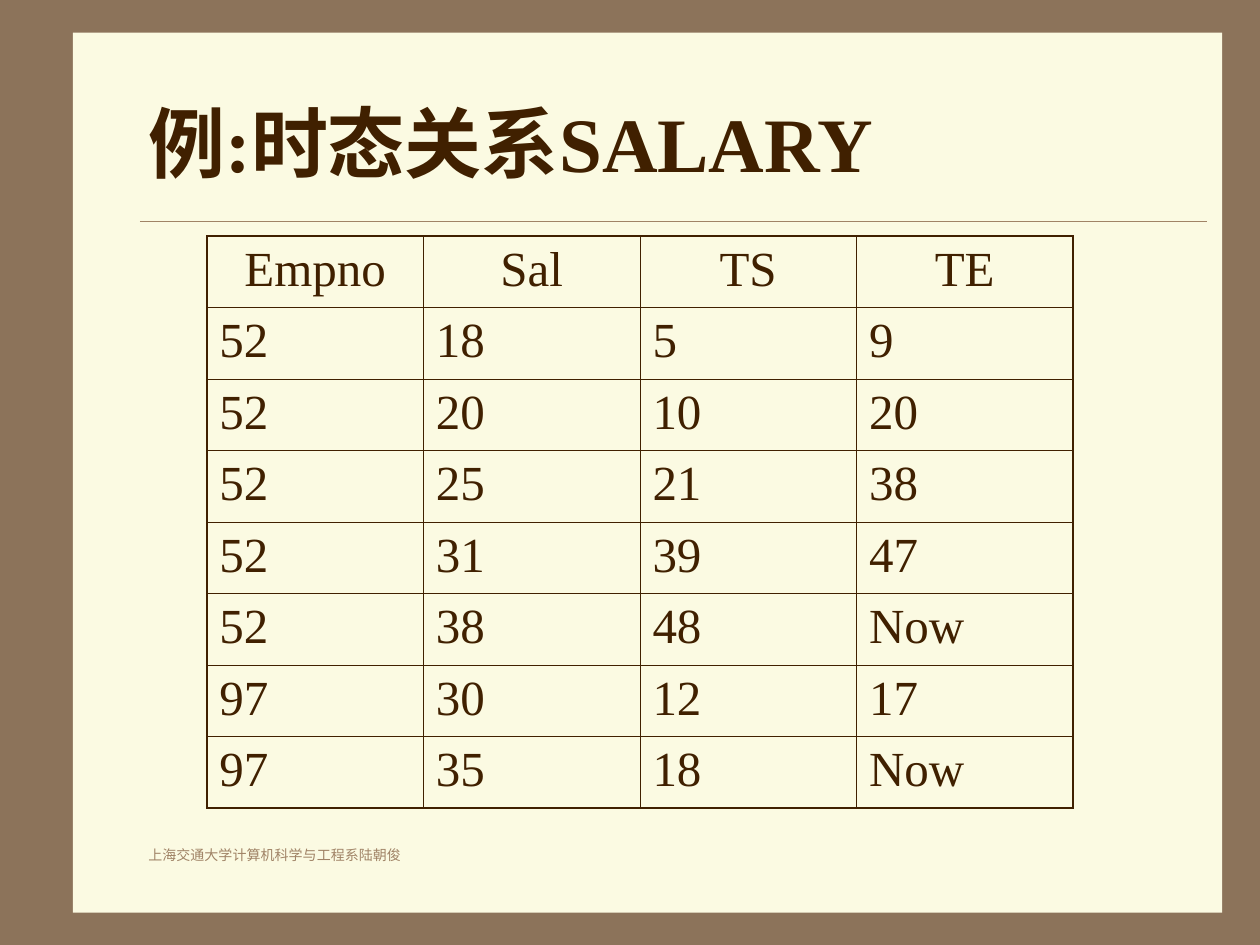
import pptx
import pptx.util
import pptx.dml.color
import pptx.enum.shapes
import pptx.enum.text
import pptx.oxml
import pptx.oxml.ns
import lxml.etree

Cm, Pt = pptx.util.Cm, pptx.util.Pt
DARK, TAN, CREAM, BROWN = "402000", "A08366", "FBFAE2", "8C735A"
LATIN, HAN = "Times New Roman", "Noto Sans CJK SC"
THIN, THICK = 0.45, 1.08
ROWS = [
    ("Empno", "Sal", "TS", "TE"),
    ("52", "18", "5", "9"),
    ("52", "20", "10", "20"),
    ("52", "25", "21", "38"),
    ("52", "31", "39", "47"),
    ("52", "38", "48", "Now"),
    ("97", "30", "12", "17"),
    ("97", "35", "18", "Now"),
]


def tint(code):
    return pptx.dml.color.RGBColor.from_string(code)


def put(obj, form):
    for key, val in form.items():
        setattr(obj, key, val)


def write(frame, text, size, code, bold=False, para=None):
    """Fill a text frame with one styled paragraph."""
    line = frame.paragraphs[0]
    put(line, para or {})
    run = line.add_run()
    run.text = text
    put(run.font, {"name": LATIN, "size": Pt(size), "bold": bold})
    run.font.color.rgb = tint(code)
    props = run.font._element
    east = lxml.etree.SubElement(props, pptx.oxml.ns.qn("a:ea"))
    east.set("typeface", HAN)


def edge(cell, side, width):
    """Draw one border of a cell; sides go in the order L, R, T, B."""
    props = cell._tc.get_or_add_tcPr()
    props.append(pptx.oxml.parse_xml(
        f'<a:ln{side} {pptx.oxml.ns.nsdecls("a")} w="{Pt(width)}">'
        f'<a:solidFill><a:srgbClr val="{DARK}"/></a:solidFill></a:ln{side}>'))


def label(slide, box, text, size, code, anchor, bold=False, para=None):
    frame = slide.shapes.add_textbox(*map(Cm, box)).text_frame
    put(frame, {"word_wrap": True, "vertical_anchor": anchor})
    write(frame, text, size, code, bold, para)


def panel(slide, box):
    # Cream page on the brown ground
    page = slide.shapes.add_shape(
        pptx.enum.shapes.MSO_SHAPE.RECTANGLE, *map(Cm, box))
    page.shadow.inherit = False
    page.fill.solid()
    page.fill.fore_color.rgb = tint(CREAM)
    page.line.fill.background()

    # Rule below the title
    left, top, wide, _ = box
    start, end, level = left + 1.35, left + wide - 0.3, top + 3.79
    rule = slide.shapes.add_connector(
        pptx.enum.shapes.MSO_CONNECTOR.STRAIGHT,
        Cm(start), Cm(level), Cm(end), Cm(level))
    rule.line.color.rgb = tint(TAN)
    rule.line.width = Pt(0.25)
    lxml.etree.SubElement(rule._element.spPr, pptx.oxml.ns.qn("a:effectLst"))


def grid(slide, box, rows):
    high, wide = len(rows), len(rows[0])
    table = slide.shapes.add_table(high, wide, *map(Cm, box)).table
    put(table, {"first_row": False, "horz_banding": False})
    for col in table.columns:
        col.width = Cm(box[2] / wide)
    for row in table.rows:
        row.height = Cm(box[3] / high)

    for r, row in enumerate(rows):
        for c, text in enumerate(row):
            cell = table.cell(r, c)
            # Thick frame outside, thin lines inside
            outer = {"L": c == 0, "R": c == wide - 1,
                     "T": r == 0, "B": r == high - 1}
            for side, rim in outer.items():
                edge(cell, side, THICK if rim else THIN)
            cell.fill.background()
            para = {"space_before": Pt(7)}
            if r == 0:
                para["alignment"] = pptx.enum.text.PP_ALIGN.CENTER
            write(cell.text_frame, text, 28, DARK, para=para)


def main():
    deck = pptx.Presentation()
    put(deck, {"slide_width": Cm(25.4), "slide_height": Cm(19.05)})
    slide = deck.slides.add_slide(deck.slide_layouts[6])
    ground = slide.background.fill
    ground.solid()
    ground.fore_color.rgb = tint(BROWN)

    anchor = pptx.enum.text.MSO_ANCHOR
    panel(slide, (1.47, 0.66, 23.17, 17.74))
    label(slide, (2.74, 16.94, 10.16, 1.27),
          "上海交通大学计算机科学与工程系陆朝俊", 8, TAN, anchor.TOP,
          para={"space_before": Pt(5)})
    label(slide, (2.74, 1.27, 21.59, 3.18), "例:时态关系SALARY",
          44, DARK, anchor.MIDDLE, bold=True)
    grid(slide, (4.17, 4.76, 17.46, 11.52), ROWS)
    deck.save("out.pptx")


if __name__ == "__main__":
    main()
